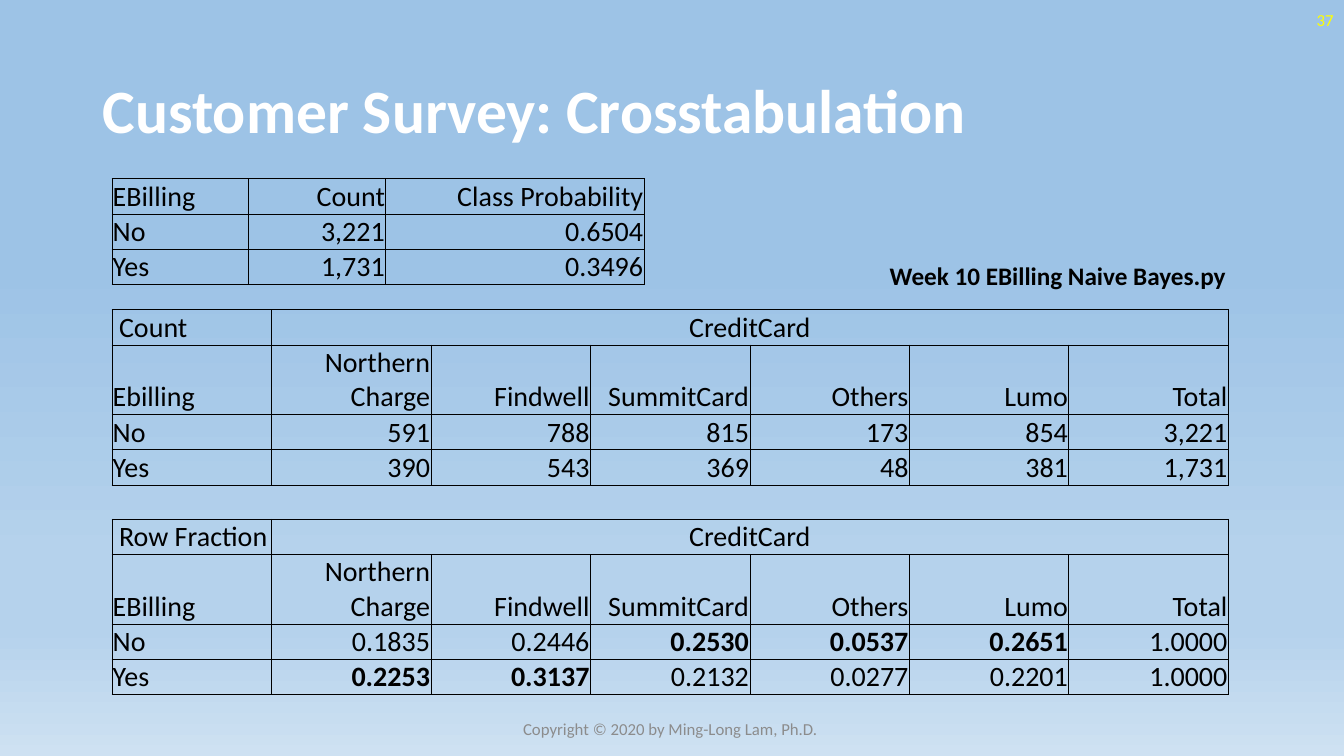
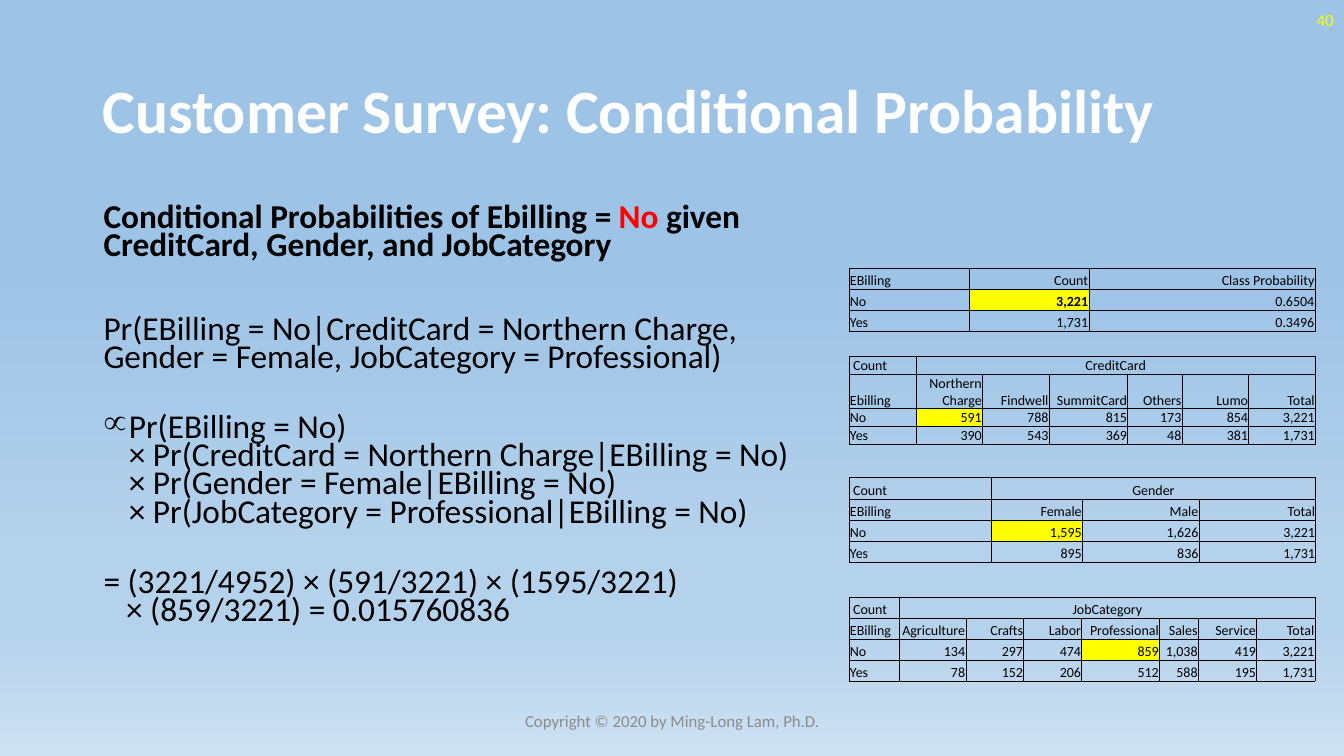
"""Build two slides on a customer survey and its conditional probabilities."""
from lxml.etree import SubElement as Sub
from pptx import Presentation as Deck
from pptx.dml.color import RGBColor as Rgb
from pptx.enum.text import MSO_ANCHOR as Anchor, PP_ALIGN as Align
from pptx.oxml.ns import qn
from pptx.util import Cm, Pt

FONT = "Calibri"
BLACK, WHITE, GREY = "000000", "FFFFFF", "8C8C8C"
YELLOW, RED = "FFFF00", "FF0000"
SKY = [(35, "9DC3E6"), (74, "B5D2EC"), (83, "B5D2EC"), (100, "CEE1F2")]

CARDS = ["Northern Charge", "Findwell", "SummitCard", "Others", "Lumo", "Total"]
BILLS = [
    ["EBilling", "Count", "Class Probability"],
    ["No", "3,221", "0.6504"],
    ["Yes", "1,731", "0.3496"],
]
COUNTS = [
    ["Count", "CreditCard"],
    ["Ebilling", *CARDS],
    ["No", "591", "788", "815", "173", "854", "3,221"],
    ["Yes", "390", "543", "369", "48", "381", "1,731"],
]
SHARES = [
    ["Row Fraction", "CreditCard"],
    ["EBilling", *CARDS],
    ["No", "0.1835", "0.2446", "0.2530", "0.0537", "0.2651", "1.0000"],
    ["Yes", "0.2253", "0.3137", "0.2132", "0.0277", "0.2201", "1.0000"],
]
GENDERS = [
    ["Count", "Gender"],
    ["EBilling", "Female", "Male", "Total"],
    ["No", "1,595", "1,626", "3,221"],
    ["Yes", "895", "836", "1,731"],
]
JOBS = [
    ["Count", "JobCategory"],
    ["EBilling", "Agriculture", "Crafts", "Labor", "Professional", "Sales",
     "Service", "Total"],
    ["No", "134", "297", "474", "859", "1,038", "419", "3,221"],
    ["Yes", "78", "152", "206", "512", "588", "195", "1,731"],
]
PROOF = [
    ("Pr(EBilling = No|CreditCard = Northern Charge, "
     "Gender = Female, JobCategory = Professional)", 40, 0, None),
    ("Pr(EBilling = No)", 30, 0.64, "∝"),
    ("× Pr(CreditCard = Northern Charge|EBilling = No)", 0, 0.64, None),
    ("× Pr(Gender = Female|EBilling = No)", 0, 0.64, None),
    ("× Pr(JobCategory = Professional|EBilling = No)", 0, 0.64, None),
    ("= (3221/4952) × (591/3221) × (1595/3221)", 30, 0, None),
    ("× (859/3221) = 0.015760836", 0, 0.57, None),
]


def color(code):
    """Turn a hex string into a colour."""
    return Rgb.from_string(code)


def style(par, size, code=BLACK, bold=False, align=Align.LEFT):
    """Set the font and alignment of a paragraph."""
    par.alignment = align
    font = par.font
    font.name, font.size, font.bold = FONT, Pt(size), bold
    font.color.rgb = color(code)


def paint(master):
    """Give the master the shared sky gradient."""
    fill = master.background.fill
    fill.gradient()
    fill.gradient_angle = 270
    stops = master.element.xpath("./p:cSld/p:bg//a:gsLst")[0]
    for stop in list(stops):
        stops.remove(stop)
    for place, code in SKY:
        stop = Sub(stops, qn("a:gs"), pos=str(place * 1000))
        Sub(stop, qn("a:srgbClr"), val=code)


def box(slide, area, anchor=Anchor.MIDDLE, wrap=True):
    """Add a text box and return its frame."""
    frame = slide.shapes.add_textbox(*map(Cm, area)).text_frame
    frame.word_wrap, frame.vertical_anchor = wrap, anchor
    return frame


def label(slide, area, text, size, code, bold=False, align=Align.LEFT, **look):
    """Add a box with one styled paragraph."""
    par = box(slide, area, **look).paragraphs[0]
    par.text = text
    style(par, size, code, bold, align)
    return par


def start(deck, title, page, foot):
    """Add a slide with its title, page number and footer."""
    slide = deck.slides.add_slide(deck.slide_layouts[6])
    head = label(slide, (2.34, 1.02, 29.21, 3.68), title, 44, WHITE, True)
    head.line_spacing = 0.9
    label(slide, (26.24, 0, 7.62, 1.02), page, 12, YELLOW, align=Align.RIGHT)
    label(slide, (*foot, 11.43, 1.02), "Copyright © 2020 by Ming-Long Lam, Ph.D.",
          12, GREY, align=Align.CENTER)
    return slide


def edge(cell):
    """Draw thin black borders around a cell."""
    props = cell._tc.get_or_add_tcPr()
    for side in "LRTB":
        line = Sub(props, qn(f"a:ln{side}"), w=str(Pt(0.5)))
        Sub(Sub(line, qn("a:solidFill")), qn("a:srgbClr"), val=BLACK)


def grid(slide, spot, cols, highs, data, size, bold=(), hot=()):
    """Add a bordered table, with one wide heading if the top row is short."""
    area = (*spot, sum(cols), sum(highs))
    table = slide.shapes.add_table(len(data), len(cols), *map(Cm, area)).table
    table.first_row = table.horz_banding = False
    for col, width in zip(table.columns, cols):
        col.width = Cm(width)
    for row, high in zip(table.rows, highs):
        row.height = Cm(high)
    wide = len(data[0]) < len(cols)
    for r, row in enumerate(table.rows):
        for c, cell in enumerate(row.cells):
            edge(cell)
            cell.margin_left = cell.margin_right = cell.margin_top = Cm(0.02)
            cell.margin_bottom = 0
            cell.vertical_anchor = Anchor.BOTTOM
            if (r, c) in hot:
                cell.fill.solid()
                cell.fill.fore_color.rgb = color(YELLOW)
            else:
                cell.fill.background()
            par = cell.text_frame.paragraphs[0]
            if c < len(data[r]):
                par.text = data[r][c]
            align = Align.RIGHT if c else Align.LEFT
            if wide and r == 0 and c:
                align = Align.CENTER
            style(par, size, bold=(r, c) in bold, align=align)
    if wide:
        table.cell(0, 0).margin_left = Cm(0.02 + size * 0.008)
        table.cell(0, 1).merge(table.cell(0, len(cols) - 1))


def prove(slide):
    """Write the heading and the steps of the calculation."""
    frame = box(slide, (2.36, 5.08, 18.47, 12.09), Anchor.TOP)
    head = frame.paragraphs[0]
    for text in ("Conditional Probabilities of Ebilling = ", "No",
                 " given CreditCard, Gender, and JobCategory"):
        run = head.add_run()
        run.text = text
        if text == "No":
            run.font.color.rgb = color(RED)
    head.line_spacing = 0.7
    style(head, 23.8, bold=True)
    for text, gap, left, mark in PROOF:
        par = frame.add_paragraph()
        par.text = text
        par.line_spacing, par.space_before = 0.7, Pt(gap)
        props = par._p.get_or_add_pPr()
        props.set("marL", str(Cm(left)))
        props.set("indent", str(-Cm(left) if mark else 0))
        if mark:
            Sub(props, qn("a:buChar"), char=mark)
        style(par, 23.8)


def cross(deck):
    """Build the crosstabulation slide."""
    slide = start(deck, "Customer Survey: Crosstabulation", "37", (11.18, 17.86))
    left, high = 2.82, 0.89
    highs = [high, 1.75, high, high]
    grid(slide, (left, 4.5), [3.45, 3.45, 6.51], [high] * 3, BILLS, 20)
    grid(slide, (left, 7.8), [4.02] * 7, highs, COUNTS, 20)
    grid(slide, (left, 13.08), [4.02] * 7, highs, SHARES, 20,
         bold={(2, 3), (2, 4), (2, 5), (3, 1), (3, 2)})
    label(slide, (22.17, 6.43, 9.07, 1.02), "Week 10 EBilling Naive Bayes.py",
          18, BLACK, True, anchor=Anchor.TOP, wrap=False)


def chance(deck):
    """Build the conditional probability slide."""
    slide = start(deck, "Customer Survey: Conditional Probability", "40",
                  (11.23, 17.65))
    prove(slide)
    left, high = 21.4, 0.53
    grid(slide, (left, 6.76), [3.02, 3.02, 5.7], [high] * 3, BILLS, 10,
         bold={(1, 1)}, hot={(1, 1)})
    grid(slide, (left, 8.97), [1.68, 1.68, 1.68, 1.98, 1.37, 1.68, 1.68],
         [0.45, 0.88, 0.45, 0.45], COUNTS, 10, hot={(2, 1)})
    grid(slide, (left, 12.04), [3.58, 2.3, 2.94, 2.94], [high] * 4, GENDERS, 10,
         hot={(2, 1)})
    grid(slide, (left, 15.04), [1.27, 1.67, 1.46, 1.46, 1.96, 0.98, 1.47, 1.47],
         [high] * 4, JOBS, 10, hot={(2, 4)})


def main():
    """Build and save the deck."""
    deck = Deck()
    deck.slide_width, deck.slide_height = Cm(33.87), Cm(19.05)
    paint(deck.slide_master)
    cross(deck)
    chance(deck)
    deck.save("out.pptx")


if __name__ == "__main__":
    main()
